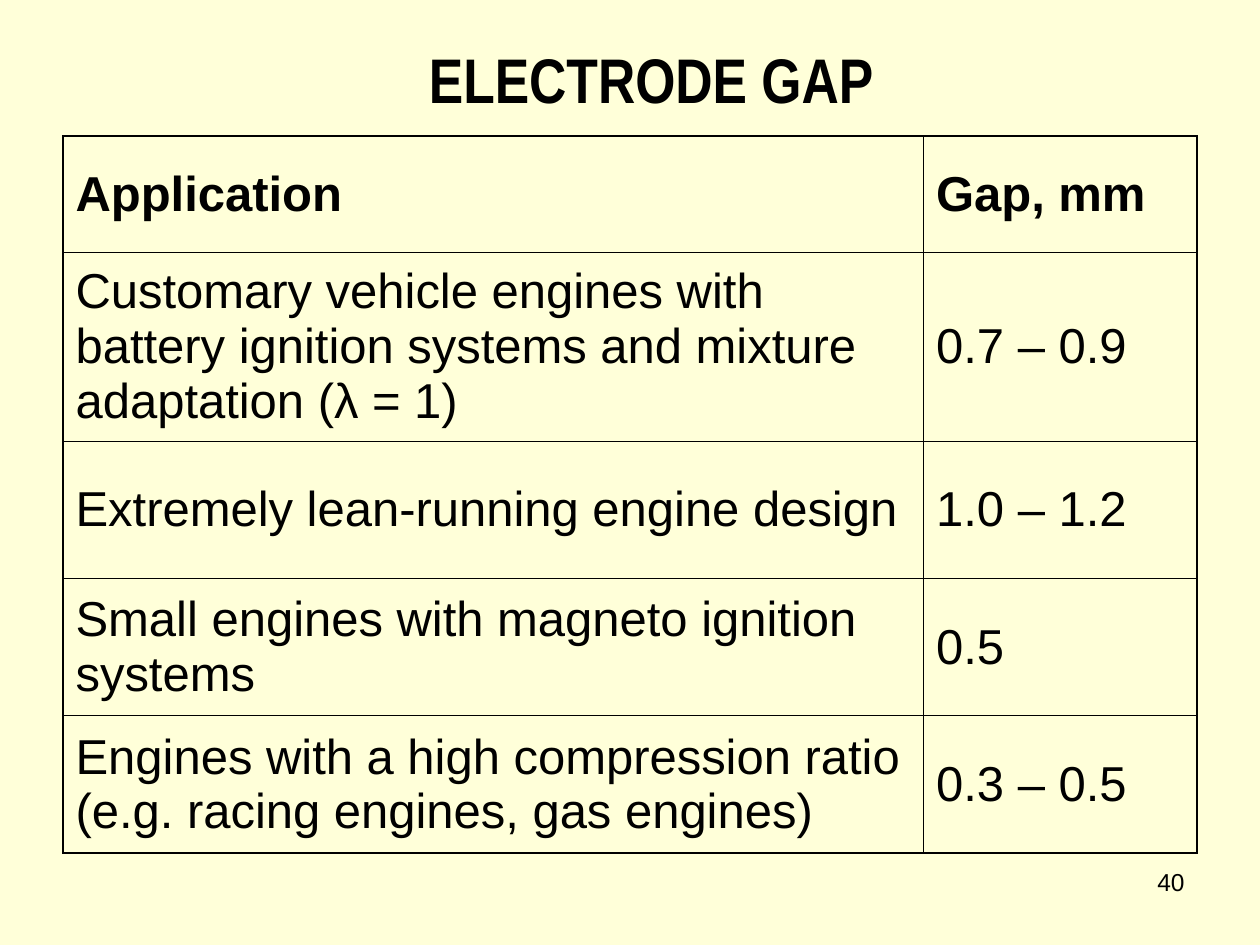
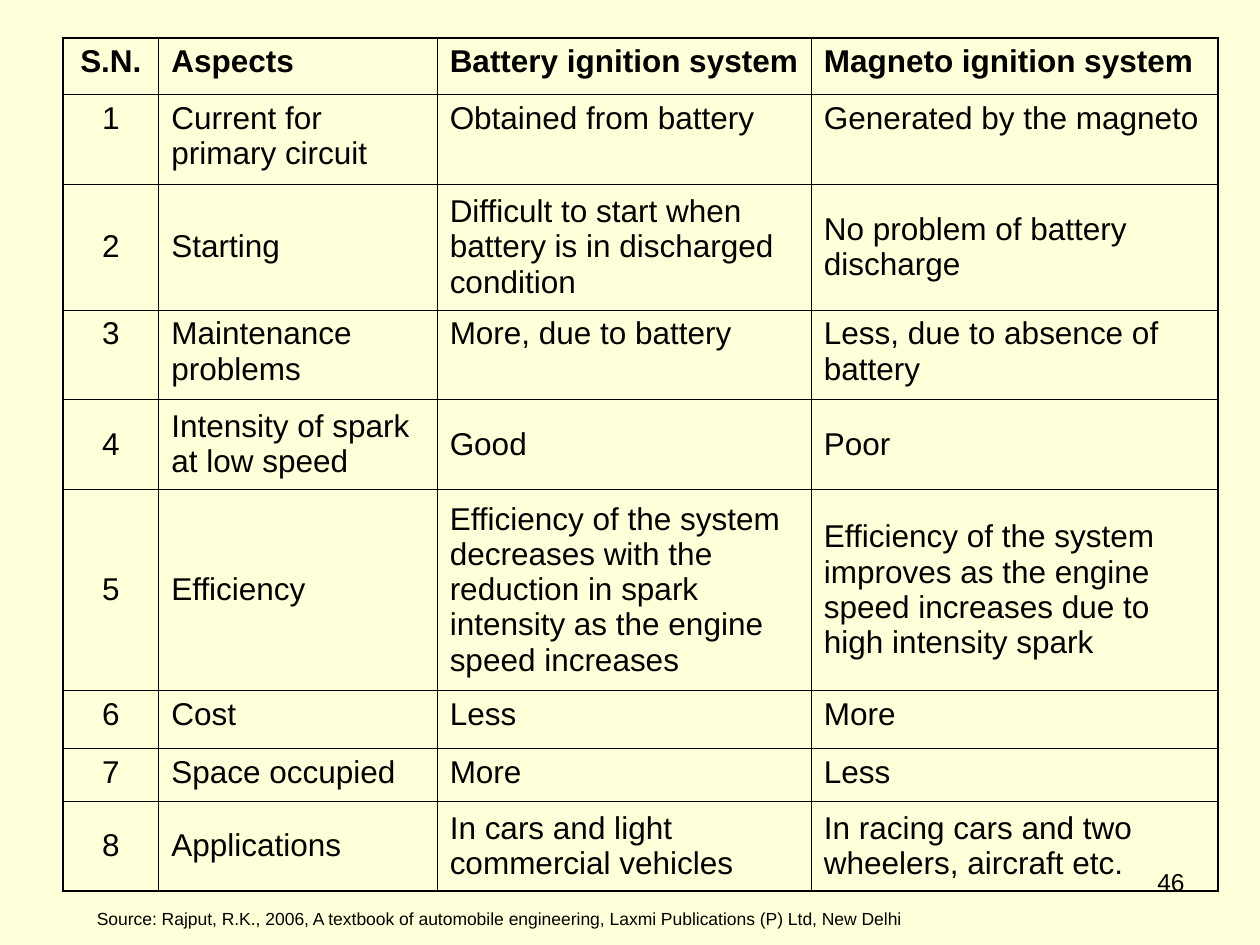
from lxml import etree
from pptx import Presentation
from pptx.dml.color import RGBColor
from pptx.enum.text import MSO_ANCHOR, MSO_AUTO_SIZE, PP_ALIGN
from pptx.oxml.ns import qn
from pptx.util import Inches, Pt

TOP, MIDDLE = MSO_ANCHOR.TOP, MSO_ANCHOR.MIDDLE
LEFT, CENTER, RIGHT = PP_ALIGN.LEFT, PP_ALIGN.CENTER, PP_ALIGN.RIGHT
GROW = MSO_AUTO_SIZE.SHAPE_TO_FIT_TEXT

CREAM = RGBColor(0xFF, 0xFF, 0xD9)
BLACK = RGBColor(0, 0, 0)
BODY_FONT, TITLE_FONT = "Arial", "Arial Narrow"
INNER_LINE, OUTER_LINE = Pt(0.45), Pt(1.08)

# Boxes are left, top, width, height in inches
TITLE_BOX = (0.67, 0.33, 9, 0.58)
NUMBER_BOX = (7.17, 6.83, 2.33, 0.52)
SOURCE_BOX = (0.67, 7.16, 8, 0.27)

GAP_ROWS = [
    ("Application", "Gap, mm"),
    ("Customary vehicle engines with battery ignition systems and mixture "
     "adaptation (λ = 1)", "0.7 – 0.9"),
    ("Extremely lean-running engine design", "1.0 – 1.2"),
    ("Small engines with magneto ignition systems", "0.5"),
    ("Engines with a high compression ratio (e.g. racing engines, gas engines)",
     "0.3 – 0.5"),
]

COMPARISON_HEADER = ("S.N.", "Aspects", "Battery ignition system",
                     "Magneto ignition system")
COMPARISON = [
    ("Current for primary circuit", "Obtained from battery",
     "Generated by the magneto"),
    ("Starting", "Difficult to start when battery is in discharged condition",
     "No problem of battery discharge"),
    ("Maintenance problems", "More, due to battery",
     "Less, due to absence of battery"),
    ("Intensity of spark at low speed", "Good", "Poor"),
    ("Efficiency",
     "Efficiency of the system decreases with the reduction in spark "
     "intensity as the engine speed increases",
     "Efficiency of the system improves as the engine speed increases due to "
     "high intensity spark"),
    ("Cost", "Less", "More"),
    ("Space occupied", "More", "Less"),
    ("Applications", "In cars and light commercial vehicles",
     "In racing cars and two wheelers, aircraft etc."),
]
CENTRED_ROWS = {2, 4, 5, 8}


def write(paragraph, text, size, align=LEFT, bold=False, font=BODY_FONT):
    paragraph.text = text
    paragraph.alignment = align
    paragraph.font.name = font
    paragraph.font.size = Pt(size)
    paragraph.font.bold = bold
    paragraph.font.color.rgb = BLACK


def add_text(slide, box, text, size, anchor=TOP, **style):
    label = slide.shapes.add_textbox(*map(Inches, box))
    frame = label.text_frame
    frame.word_wrap = True
    frame.vertical_anchor = anchor
    write(frame.paragraphs[0], text, size, **style)
    return frame


def set_borders(cell, widths):
    """Draw the left, right, top and bottom edges of a cell."""
    properties = cell._tc.get_or_add_tcPr()
    for index, (side, width) in enumerate(zip("LRTB", widths)):
        line = etree.Element(qn(f"a:ln{side}"), w=str(int(width)))
        fill = etree.SubElement(line, qn("a:solidFill"))
        etree.SubElement(fill, qn("a:srgbClr"), val=str(BLACK))
        properties.insert(index, line)


def add_grid(slide, left, top, column_widths, row_heights, rows, size,
             anchors, aligns):
    """Table with a bold header, a heavy frame and hairlines inside."""
    last_row, last_column = len(rows) - 1, len(column_widths) - 1
    table = slide.shapes.add_table(
        len(rows), len(column_widths), Inches(left), Inches(top),
        Inches(sum(column_widths)), Inches(sum(row_heights))).table
    table.first_row = table.horz_banding = False
    for column, width in zip(table.columns, column_widths):
        column.width = Inches(width)
    for r, (values, height) in enumerate(zip(rows, row_heights)):
        table.rows[r].height = Inches(height)
        for c, value in enumerate(values):
            cell = table.cell(r, c)
            cell.fill.background()
            cell.vertical_anchor = anchors[r]
            write(cell.text_frame.paragraphs[0], value, size, aligns[c],
                  bold=r == 0)
            on_frame = (c == 0, c == last_column, r == 0, r == last_row)
            set_borders(cell, [OUTER_LINE if outer else INNER_LINE
                               for outer in on_frame])


def new_slide(prs, number):
    slide = prs.slides.add_slide(prs.slide_layouts[6])
    add_text(slide, NUMBER_BOX, str(number), 14, align=RIGHT)
    return slide


def electrode_gap_slide(prs):
    slide = new_slide(prs, 40)
    add_text(slide, TITLE_BOX, "ELECTRODE GAP", 36, MIDDLE,
             align=CENTER, bold=True, font=TITLE_FONT)
    add_grid(slide, 0.5, 1.08, [6.83, 2.17], [0.92, 1.5] + [1.09] * 3,
             GAP_ROWS, 28, [MIDDLE] * len(GAP_ROWS), [LEFT, LEFT])


def comparison_slide(prs):
    slide = new_slide(prs, 46)
    rows = [COMPARISON_HEADER] + [
        (str(number), *aspect) for number, aspect in enumerate(COMPARISON, 1)]
    anchors = [MIDDLE if r in CENTRED_ROWS else TOP for r in range(len(rows))]
    add_grid(slide, 0.5, 0.3, [0.76, 2.21, 2.97, 3.23],
             [0.45, 0.71, 1, 0.71, 0.71, 1.6, 0.46, 0.42, 0.71],
             rows, 18, anchors, [CENTER, LEFT, LEFT, LEFT])
    # Source line below the table
    source = add_text(
        slide, SOURCE_BOX,
        "Source: Rajput, R.K., 2006, A textbook of automobile engineering, "
        "Laxmi Publications (P) Ltd, New Delhi", 10)
    source.auto_size = GROW


def main():
    prs = Presentation()
    prs.slide_width, prs.slide_height = Inches(10), Inches(7.5)
    # Shared background
    background = prs.slide_master.background.fill
    background.solid()
    background.fore_color.rgb = CREAM
    electrode_gap_slide(prs)
    comparison_slide(prs)
    prs.save("out.pptx")


if __name__ == "__main__":
    main()
